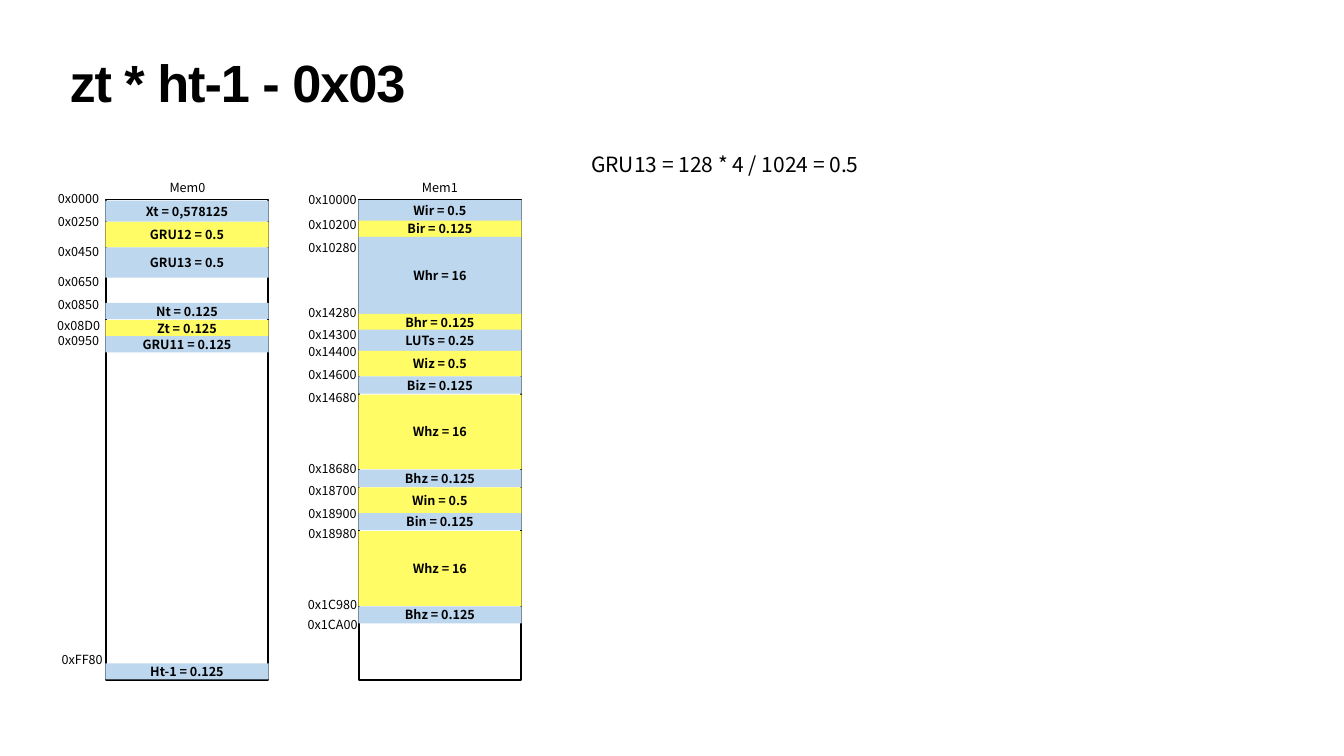
import pptx
import pptx.util
import pptx.dml.color
import pptx.enum.shapes
import pptx.enum.text

PX = 9144
BLACK = pptx.dml.color.RGBColor(0x00, 0x00, 0x00)
BLUE = pptx.dml.color.RGBColor(0xBD, 0xD7, 0xEE)
GOLD = pptx.dml.color.RGBColor(0xFF, 0xFC, 0x66)
SANS = "Noto Sans CJK SC"
LEFT = pptx.enum.text.PP_ALIGN.LEFT
MID = pptx.enum.text.PP_ALIGN.CENTER

BANKS = [
    {
        "name": "Mem0", "left": 210, "head": (317, 352), "tag": 101,
        "bands": [
            ("Xt = 0,578125", 398, 42, BLUE),
            ("GRU12 = 0.5", 440, 51, GOLD),
            ("GRU13 = 0.5", 491, 60, BLUE),
            ("Nt = 0.125", 601, 32, BLUE),
            ("Zt = 0.125", 635, 32, GOLD),
            ("GRU11 = 0.125", 667, 32, BLUE),
            ("Ht-1 = 0.125", 1316, 32, BLUE),
        ],
        "tags": [
            ("0x0000", 374), ("0x0250", 419), ("0x0450", 480),
            ("0x0650", 539), ("0x0850", 585), ("0x08D0", 625),
            ("0x0950", 656),
        ],
    },
    {
        "name": "Mem1", "left": 712, "head": (818, 353), "tag": 605,
        "bands": [
            ("Wir = 0.5", 397, 42, BLUE),
            ("Bir = 0.125", 438, 32, GOLD),
            ("Whr = 16", 470, 153, BLUE),
            ("Bhr = 0.125", 623, 32, GOLD),
            ("LUTs = 0.25", 654, 43, BLUE),
            ("Wiz = 0.5", 696, 51, GOLD),
            ("Biz = 0.125", 747, 34, BLUE),
            ("Whz = 16", 783, 148, GOLD),
            ("Bhz = 0.125", 932, 34, BLUE),
            ("Win = 0.5", 967, 51, GOLD),
            ("Bin = 0.125", 1018, 34, BLUE),
            ("Whz = 16", 1054, 148, GOLD),
            ("Bhz = 0.125", 1203, 34, BLUE),
        ],
        "tags": [
            ("0x10000", 375), ("0x10200", 425), ("0x10280", 472),
            ("0x14280", 601), ("0x14300", 643), ("0x14400", 678),
            ("0x14600", 723), ("0x14680", 769), ("0x18680", 909),
            ("0x18700", 954), ("0x18900", 998), ("0x18980", 1038),
            ("0x1C980", 1179), ("0x1CA00", 1219),
        ],
    },
]


class Pen:
    def __init__(self, slide):
        self.slide = slide
        self.font = {"name": SANS, "size": pptx.util.Pt(18), "bold": False}

    def label(self, shape, text, align, pad=5, wrap=True, **style):
        frame = shape.text_frame
        form = {"word_wrap": wrap}
        for side in ("left", "right", "top", "bottom"):
            form["margin_" + side] = pad * PX
        for key, value in form.items():
            setattr(frame, key, value)
        para = frame.paragraphs[0]
        para.alignment = align
        run = para.add_run()
        run.text = text
        for key, value in {**self.font, **style}.items():
            setattr(run.font, key, value)
        run.font.color.rgb = BLACK
        return para

    def text(self, text, x, y, w, h, align=LEFT, **style):
        box = self.slide.shapes.add_textbox(x * PX, y * PX, w * PX, h * PX)
        return self.label(box, text, align, **style)

    def title(self, text, x, y, w, h):
        para = self.text(text, x, y, w, h, pad=6, name="Arial",
                         size=pptx.util.Pt(74.8), bold=True)
        para.line_spacing = 0.8
        para.runs[0]._r.get_or_add_rPr().set("spc", "-150")

    def tag(self, text, x, y):
        self.text(text, x, y, 110, 40, MID, wrap=False)

    def rect(self, x, y, w, h):
        kind = pptx.enum.shapes.MSO_SHAPE.RECTANGLE
        shape = self.slide.shapes.add_shape(kind, x * PX, y * PX, w * PX, h * PX)
        shape.shadow.inherit = False
        return shape

    def frame(self, x, y, w, h):
        shape = self.rect(x, y, w, h)
        shape.fill.background()
        shape.line.color.rgb = BLACK
        shape.line.width = pptx.util.Pt(2.25)

    def band(self, text, x, y, w, h, fill):
        shape = self.rect(x, y, w, h)
        shape.fill.solid()
        shape.fill.fore_color.rgb = fill
        shape.line.fill.background()
        shape.text_frame.vertical_anchor = pptx.enum.text.MSO_ANCHOR.MIDDLE
        self.label(shape, text, MID, bold=True)

    def bank(self, bank):
        left = bank["left"]
        self.tag(bank["name"], *bank["head"])
        self.frame(left, 396, 322, 953)
        for name, top, high, fill in bank["bands"]:
            self.band(name, left - 1, top, 324, high, fill)
        for name, top in bank["tags"]:
            self.tag(name, bank["tag"], top)


def main():
    deck = pptx.Presentation()
    deck.slide_width, deck.slide_height = 2667 * PX, 1500 * PX
    pen = Pen(deck.slides.add_slide(deck.slide_layouts[6]))
    pen.title("zt * ht-1 - 0x03", 132, 118, 2403, 157)
    for bank in BANKS:
        pen.bank(bank)
    pen.tag("0xFF80", 108, 1289)
    pen.text("GRU13 = 128 * 4 / 1024 = 0.5", 1168, 296, 1330, 60,
             size=pptx.util.Pt(30))
    deck.save("out.pptx")


if __name__ == "__main__":
    main()
